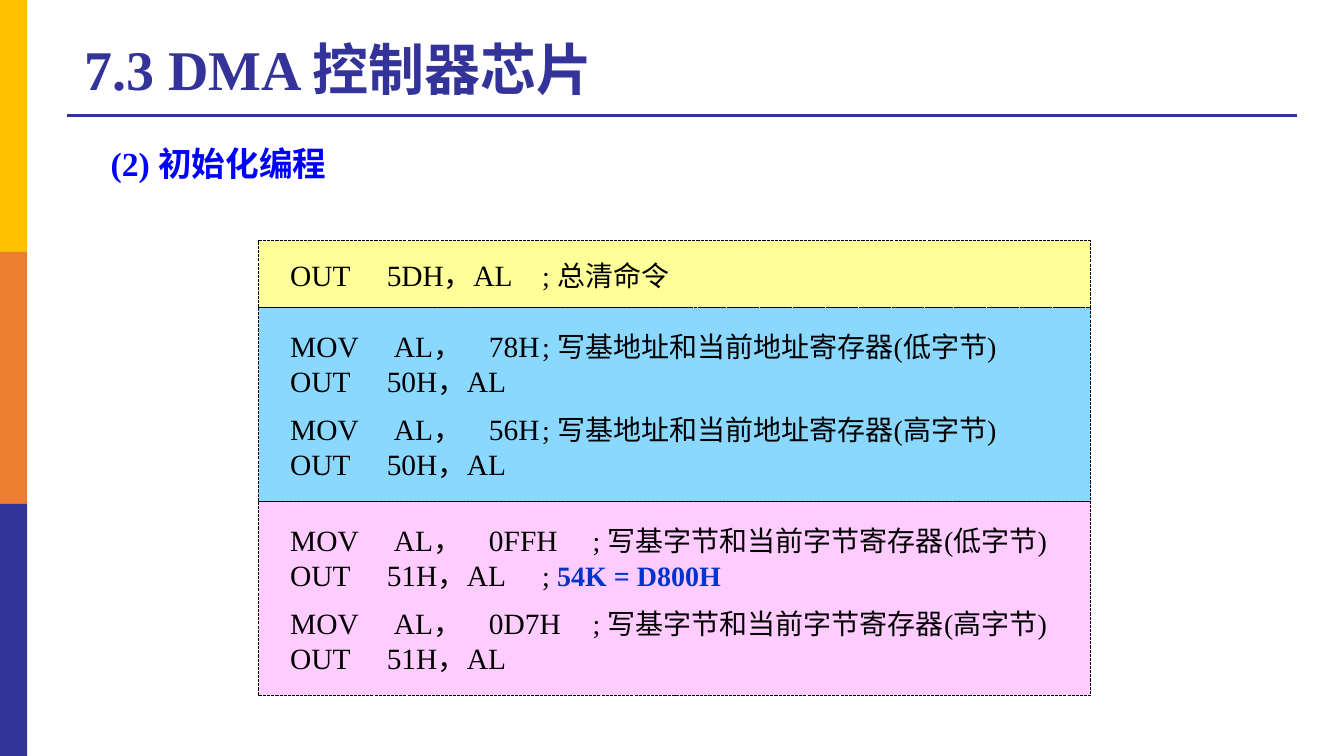
from dataclasses import dataclass

from lxml import etree
from pptx import Presentation
from pptx import util as u
from pptx.dml.color import RGBColor
from pptx.enum import dml, shapes, text
from pptx.oxml.ns import qn

Pt = u.Pt


@dataclass(frozen=True)
class Theme:
    font: str = "Times New Roman"
    navy: str = "333399"
    gold: str = "FFC000"
    orange: str = "ED7D31"
    blue: str = "0000FF"
    emphasis: str = "0033CC"
    black: str = "000000"
    yellow_panel: str = "FFFF99"
    blue_panel: str = "8BD8FF"
    pink_panel: str = "FFCCFF"
    title_size: float = 40
    heading_size: float = 24
    code_size: float = 21
    comment_size: float = 20


THEME = Theme()

# Tab stops in points: first operand by mnemonic, second operand, comment
OPERAND_STOPS = {"OUT": 69, "MOV": 74}
SECOND_OPERAND_STOP = 142
NEAR, FAR = 180, 216

# Panels: fill, height, instructions (code, comment, comment stop, emphasis)
PANELS = [
    (THEME.yellow_panel, 48, [("OUT\t5DH，AL", "总清命令", NEAR, "")]),
    (THEME.blue_panel, 138.5, [
        ("MOV\tAL，\t78H", "写基地址和当前地址寄存器(低字节)", NEAR, ""),
        ("OUT\t50H，AL", "", NEAR, ""),
        ("MOV\tAL，\t56H", "写基地址和当前地址寄存器(高字节)", NEAR, ""),
        ("OUT\t50H，AL", "", NEAR, ""),
    ]),
    (THEME.pink_panel, 138.5, [
        ("MOV\tAL，\t0FFH", "写基字节和当前字节寄存器(低字节)", FAR, ""),
        ("OUT\t51H，AL", "", NEAR, "54K = D800H"),
        ("MOV\tAL，\t0D7H", "写基字节和当前字节寄存器(高字节)", FAR, ""),
        ("OUT\t51H，AL", "", NEAR, ""),
    ]),
]


def rgb(color):
    return RGBColor.from_string(color)


def format_run(run, size, color, bold=False):
    run.font.name = THEME.font
    run.font.size = Pt(size)
    run.font.bold = bold
    run.font.color.rgb = rgb(color)


def add_block(slide, left, top, width, height, fill):
    block = slide.shapes.add_shape(shapes.MSO_SHAPE.RECTANGLE,
                                   Pt(left), Pt(top), Pt(width), Pt(height))
    block.shadow.inherit = False
    block.fill.solid()
    block.fill.fore_color.rgb = rgb(fill)
    block.line.fill.background()
    return block


def add_side_bars(slide):
    for row, color in enumerate((THEME.gold, THEME.orange, THEME.navy)):
        add_block(slide, 0, row * 180, 19.5, 180, color)


def add_title_rule(slide):
    rule = slide.shapes.add_connector(shapes.MSO_CONNECTOR.STRAIGHT,
                                      Pt(48), Pt(82.8), Pt(926.5), Pt(82.8))
    rule.line.color.rgb = rgb(THEME.navy)
    rule.line.width = Pt(2.25)
    etree.SubElement(rule._element.spPr, qn("a:effectLst"))


def set_line(frame, wording, size, color):
    """Fill a text frame with one bold, left-aligned line."""
    frame.text = wording
    frame.word_wrap = True
    frame.auto_size = text.MSO_AUTO_SIZE.NONE
    line = frame.paragraphs[0]
    line.alignment = text.PP_ALIGN.LEFT
    line.line_spacing = 0.9
    format_run(line.runs[0], size, color, bold=True)


def add_title(slide):
    title = slide.shapes.title
    title.left, title.top = Pt(43.2), Pt(20.2)
    title.width, title.height = Pt(713.5), Pt(62.6)
    set_line(title.text_frame, "7.3 DMA 控制器芯片", THEME.title_size, THEME.navy)
    title.text_frame.margin_left = Pt(17.2)
    title.text_frame.vertical_anchor = text.MSO_ANCHOR.MIDDLE


def add_heading(slide):
    heading = slide.shapes.add_textbox(Pt(72), Pt(101.5), Pt(602.6), Pt(41.8))
    set_line(heading.text_frame, "(2) 初始化编程", THEME.heading_size, THEME.blue)


def set_tab_stops(paragraph, stops):
    tabs = etree.SubElement(paragraph._p.get_or_add_pPr(), qn("a:tabLst"))
    for stop in stops:
        etree.SubElement(tabs, qn("a:tab"), pos=str(Pt(stop)), algn="l")


def write_instruction(paragraph, code, comment, comment_stop, emphasis):
    mnemonic, *operands = code.split("\t")
    stops = [OPERAND_STOPS[mnemonic], comment_stop]
    if len(operands) == 2:
        stops.insert(1, SECOND_OPERAND_STOP)
    paragraph.alignment = text.PP_ALIGN.LEFT
    set_tab_stops(paragraph, stops)
    paragraph.text = code
    format_run(paragraph.runs[0], THEME.code_size, THEME.black)
    if comment or emphasis:
        remark = paragraph.add_run()
        remark.text = f"\t; {comment}"
        format_run(remark, THEME.comment_size, THEME.black)
    if emphasis:
        total = paragraph.add_run()
        total.text = emphasis
        format_run(total, THEME.comment_size, THEME.emphasis, bold=True)


def add_code_panel(slide, top, height, fill, instructions):
    panel = add_block(slide, 185, top, 594, height, fill)
    panel.line.color.rgb = rgb(THEME.black)
    panel.line.width = Pt(0.75)
    panel.line.dash_style = dml.MSO_LINE.SQUARE_DOT
    frame = panel.text_frame
    frame.word_wrap = True
    frame.vertical_anchor = text.MSO_ANCHOR.MIDDLE
    frame.margin_left, frame.margin_right = Pt(22.3), Pt(4)
    for number, instruction in enumerate(instructions):
        paragraph = frame.add_paragraph() if number else frame.paragraphs[0]
        if number == 2:
            paragraph.space_before = Pt(9)
        write_instruction(paragraph, *instruction)


def main():
    deck = Presentation()
    deck.slide_width, deck.slide_height = Pt(960), Pt(540)
    slide = deck.slides.add_slide(deck.slide_layouts[5])
    add_side_bars(slide)
    add_title_rule(slide)
    add_title(slide)
    add_heading(slide)
    top = 172
    for fill, height, instructions in PANELS:
        add_code_panel(slide, top, height, fill, instructions)
        top += height
    deck.save("out.pptx")


if __name__ == "__main__":
    main()
